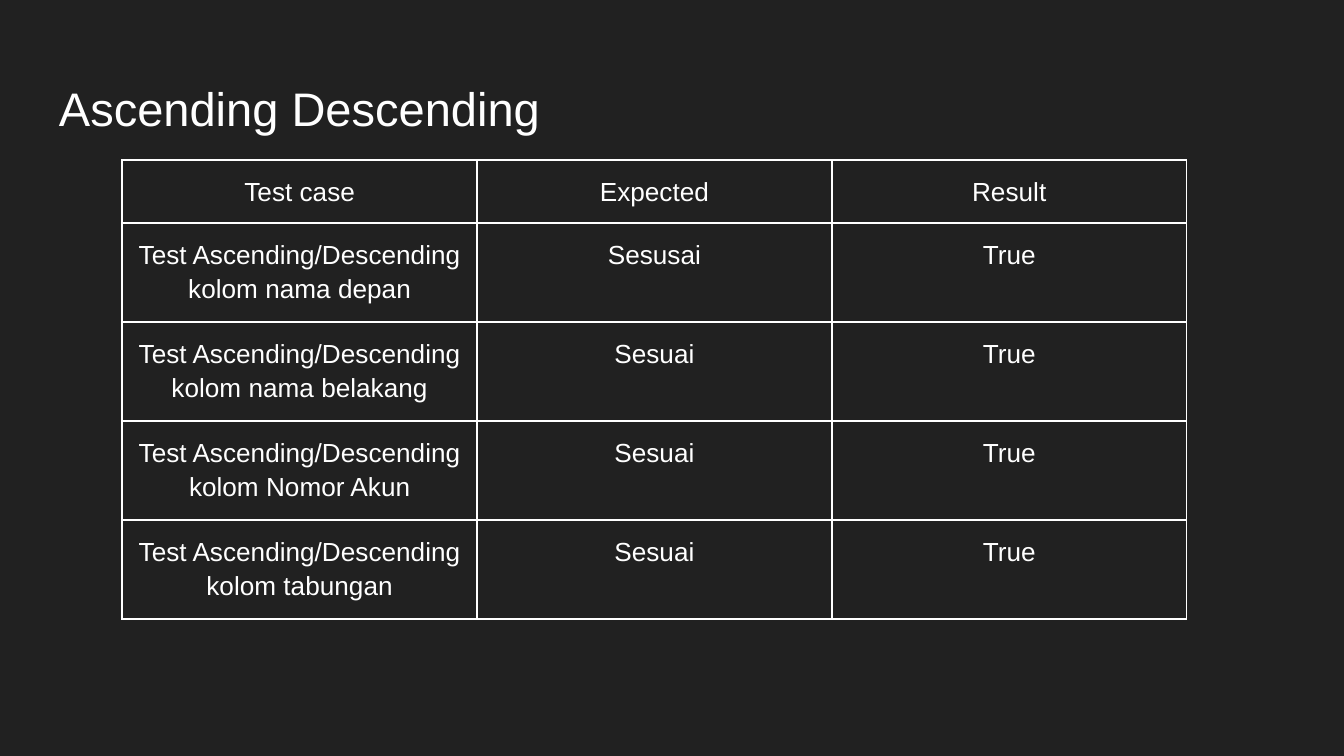
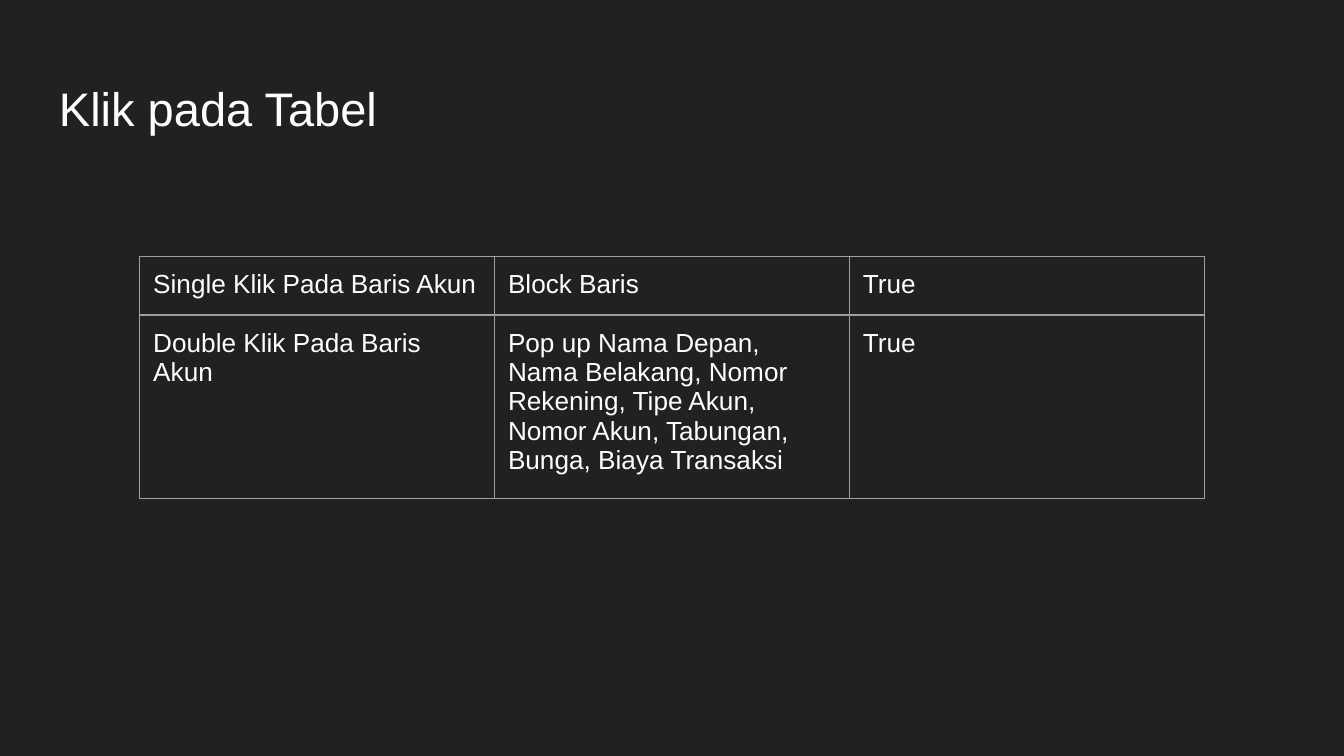
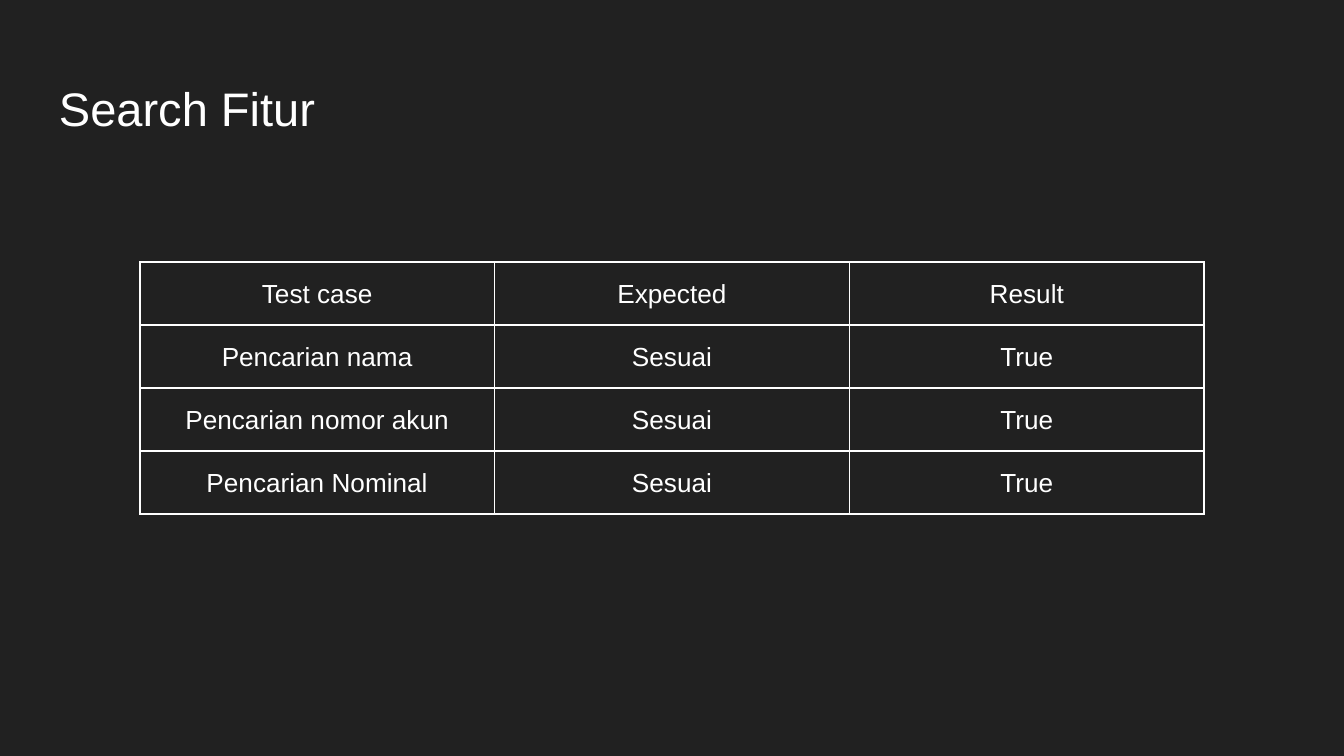
from lxml import etree
from pptx import Presentation
from pptx.dml.color import RGBColor
from pptx.enum import text
from pptx.oxml import ns
from pptx.util import Inches, Pt

# Shared look
BACKGROUND = RGBColor(0x21, 0x21, 0x21)
WHITE = RGBColor(0xFF, 0xFF, 0xFF)
GRAY = RGBColor(0x9E, 0x9E, 0x9E)
FONT = "Arial"
SLIDE_WIDTH = Inches(10)
COLUMN_WIDTH = Inches(2.64)
ROW_HEIGHT = Inches(0.42)
FRAME_SIZE = Inches(3.28)
HEADER = ("Test case", "Expected", "Result")


def add_run(paragraph, content, size):
    run = paragraph.add_run()
    run.text = content
    run.font.name = FONT
    run.font.size = Pt(size)
    run.font.color.rgb = WHITE


def add_slide(presentation, title):
    """Add a dark slide with its title."""
    slide = presentation.slides.add_slide(presentation.slide_layouts[6])
    slide.background.fill.solid()
    slide.background.fill.fore_color.rgb = BACKGROUND
    box = slide.shapes.add_textbox(Inches(0.34), Inches(0.49), Inches(9.32), Inches(0.63))
    frame = box.text_frame
    frame.word_wrap = True
    frame.vertical_anchor = text.MSO_ANCHOR.MIDDLE
    frame.margin_left = frame.margin_right = Inches(0.1)
    frame.margin_top = frame.margin_bottom = Inches(0.1)
    add_run(frame.paragraphs[0], title, 25.2)
    return slide


def set_borders(cell, color, width):
    properties = cell._tc.get_or_add_tcPr()
    for side in ("lnL", "lnR", "lnT", "lnB"):
        line = etree.SubElement(properties, ns.qn(f"a:{side}"), w=str(Pt(width)))
        fill = etree.SubElement(line, ns.qn("a:solidFill"))
        etree.SubElement(fill, ns.qn("a:srgbClr"), val=str(color))


def fill_cell(cell, content, centered, border):
    set_borders(cell, *border)
    cell.fill.background()
    cell.margin_left = cell.margin_right = Inches(0.07 if centered else 0.1)
    cell.margin_top = cell.margin_bottom = Inches(0.1)
    paragraph = cell.text_frame.paragraphs[0]
    if centered:
        paragraph.alignment = text.PP_ALIGN.CENTER
        paragraph.line_spacing = 1.15
        paragraph.space_before = paragraph.space_after = Pt(12)
    add_run(paragraph, content, 14)


def add_table(slide, left, top, rows, centered=True, border=(WHITE, 1)):
    shape = slide.shapes.add_table(
        len(rows), len(rows[0]), Inches(left), Inches(top), FRAME_SIZE, FRAME_SIZE)
    table = shape.table
    table.first_row = table.horz_banding = False
    for column in table.columns:
        column.width = COLUMN_WIDTH
    for row, contents in zip(table.rows, rows):
        row.height = ROW_HEIGHT
        for cell, content in zip(row.cells, contents):
            fill_cell(cell, content, centered, border)
    # Row and column changes resize the frame, so its size is set last
    shape.width = shape.height = FRAME_SIZE


def main():
    presentation = Presentation()
    presentation.slide_width = SLIDE_WIDTH
    presentation.slide_height = SLIDE_WIDTH * 9 // 16

    # Sorting tests
    slide = add_slide(presentation, "Ascending Descending")
    sorting = (("nama depan", "Sesusai"), ("nama belakang", "Sesuai"),
               ("Nomor Akun", "Sesuai"), ("tabungan", "Sesuai"))
    add_table(slide, 0.91, 1.19, [HEADER] + [
        (f"Test Ascending/Descending kolom {name}", expected, "True")
        for name, expected in sorting])

    # Click tests
    slide = add_slide(presentation, "Klik pada Tabel")
    popup = ("Pop up Nama Depan, Nama Belakang, Nomor Rekening, Tipe Akun, "
             "Nomor Akun, Tabungan, Bunga, Biaya Transaksi")
    add_table(slide, 1.04, 1.91, [
        ("Single Klik Pada Baris Akun", "Block Baris", "True"),
        ("Double Klik Pada Baris Akun", popup, "True"),
    ], centered=False, border=(GRAY, 0.75))

    # Search tests
    slide = add_slide(presentation, "Search Fitur")
    add_table(slide, 1.04, 1.95, [HEADER] + [
        (f"Pencarian {name}", "Sesuai", "True")
        for name in ("nama", "nomor akun", "Nominal")])

    presentation.save("out.pptx")


if __name__ == "__main__":
    main()
